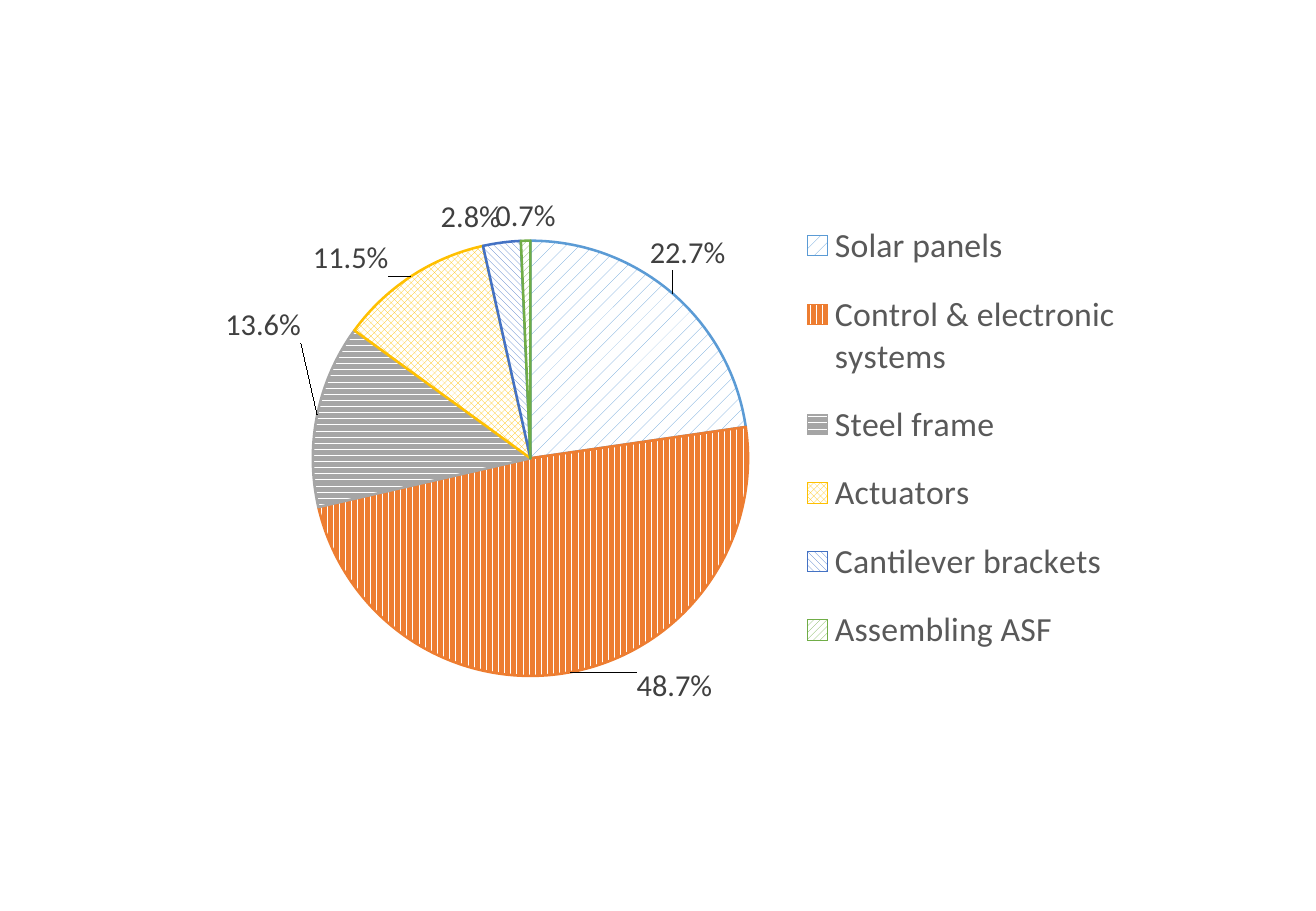
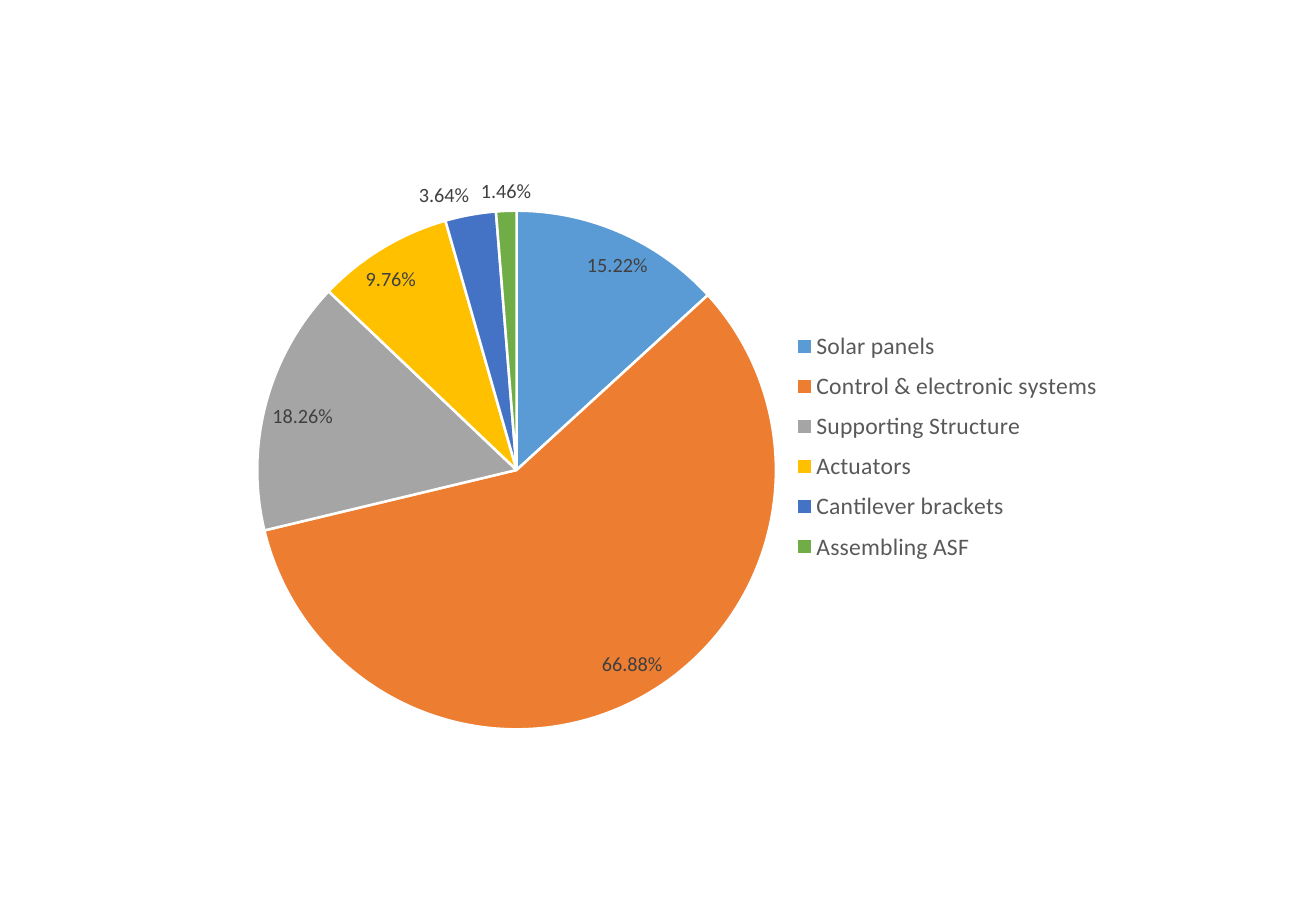
"""Two pie charts of cost shares by part."""
import lxml.etree
import pptx
import pptx.chart.data
import pptx.dml.color
import pptx.enum.chart
import pptx.enum.dml
import pptx.oxml.ns
import pptx.util

RGB = pptx.dml.color.RGBColor
PAT = pptx.enum.dml.MSO_PATTERN
POS = pptx.enum.chart.XL_LABEL_POSITION
BLUE = RGB(0x5B, 0x9B, 0xD5)
ORANGE = RGB(0xED, 0x7D, 0x31)
GREY = RGB(0xA5, 0xA5, 0xA5)
GOLD = RGB(0xFF, 0xC0, 0x00)
NAVY = RGB(0x44, 0x72, 0xC4)
GREEN = RGB(0x70, 0xAD, 0x47)
WHITE = RGB(0xFF, 0xFF, 0xFF)
BLACK = RGB(0x00, 0x00, 0x00)
DARK = RGB(0x40, 0x40, 0x40)
SOFT = RGB(0x59, 0x59, 0x59)
HUES = [BLUE, ORANGE, GREY, GOLD, NAVY, GREEN]
FACE = "Calibri"
SCALE = 9525
FRAME = (174, 129, 732, 462)

COSTS = {
    "third": "Steel frame",
    "vals": [0.227, 0.487, 0.136, 0.115, 0.028, 0.007],
    "code": "0.0%",
    "sizes": (18, 20),
    "place": POS.OUTSIDE_END,
    "plot": {"x": 0.1, "y": 0.13, "w": 0.47, "h": 0.75},
    "key": {"x": 0.62, "y": 0.06, "w": 0.36, "h": 0.82},
    "hatch": [PAT.PERCENT_10, PAT.DARK_VERTICAL, PAT.DARK_HORIZONTAL,
              PAT.LARGE_CHECKER_BOARD, PAT.WIDE_DOWNWARD_DIAGONAL,
              PAT.WIDE_UPWARD_DIAGONAL],
    "moves": [(-0.03, -0.03), (0.07, -0.02), (-0.01, -0.12), (-0.02, 0.01)],
}
SHARES = {
    "third": "Supporting Structure",
    "vals": [0.1522, 0.6688, 0.1826, 0.0976, 0.0364, 0.0146],
    "code": "0.00%",
    "sizes": (12, 14),
    "place": POS.BEST_FIT,
    "plot": {"x": 0.04, "y": 0.08, "w": 0.56, "h": 0.89},
    "key": {"x": 0.61, "y": 0.27, "w": 0.35, "h": 0.43},
    "hatch": [],
    "moves": [],
}


def px(num):
    """Turn px into EMU."""
    return pptx.util.Emu(num * SCALE)


def put(item, vals):
    """Set each named value on an item."""
    for name, val in vals.items():
        setattr(item, name, val)


def style(font, size, hue):
    """Set face, size and colour of a font."""
    put(font, {"name": FACE, "size": pptx.util.Pt(size)})
    font.color.rgb = hue


def lay(node, spots, prior=None):
    """Give a chart part a manual layout, after a prior child if named."""
    tag = pptx.oxml.ns.qn
    for old in node.findall(tag("c:layout")):
        node.remove(old)
    base = lxml.etree.Element(tag("c:layout"))
    man = lxml.etree.SubElement(base, tag("c:manualLayout"))
    for name, val in spots.items():
        lxml.etree.SubElement(man, tag("c:" + name), val=str(val))
    head = node.find(tag(prior)) if prior else None
    node.insert(0 if head is None else node.index(head) + 1, base)


def fixed(box, inner=False):
    """Return layout values for a box measured from the chart edge."""
    spots = {"layoutTarget": "inner"} if inner else {}
    return {**spots, "xMode": "edge", "yMode": "edge", **box}


def paint(point, hue, hatch):
    """Fill a slice, plain with a white rim or hatched with its own."""
    fill = point.format.fill
    if hatch is None:
        fill.solid()
        fill.fore_color.rgb = hue
    else:
        fill.patterned()
        fill.pattern = hatch
        fill.fore_color.rgb = hue
        fill.back_color.rgb = WHITE
    line = point.format.line
    line.width = pptx.util.Pt(1.5)
    line.color.rgb = WHITE if hatch is None else hue


def shift(point, move, size, place):
    """Move one label away from its usual place."""
    label = point.data_label
    style(label.font, size, DARK)
    label.position = place
    node = label.font._element
    while node.tag != pptx.oxml.ns.qn("c:dLbl"):
        node = node.getparent()
    lay(node, dict(zip("xy", move)), "c:idx")


def pie(deck, info):
    """Add a slide with one pie chart."""
    slide = deck.slides.add_slide(deck.slide_layouts[6])
    data = pptx.chart.data.CategoryChartData(number_format=info["code"])
    data.categories = ["Solar panels", "Control & electronic systems",
                       info["third"], "Actuators", "Cantilever brackets",
                       "Assembling ASF"]
    data.add_series("Series 1", info["vals"])
    kind = pptx.enum.chart.XL_CHART_TYPE.PIE
    chart = slide.shapes.add_chart(kind, *map(px, FRAME), data).chart
    put(chart, {"has_title": False, "has_legend": True})
    style(chart.font, 10, BLACK)
    small, large = info["sizes"]
    key = chart.legend
    put(key, {"position": pptx.enum.chart.XL_LEGEND_POSITION.RIGHT,
              "include_in_layout": False})
    style(key.font, large, SOFT)
    lay(key._element, fixed(info["key"]), "c:legendPos")
    lay(chart._chartSpace.chart.plotArea, fixed(info["plot"], True))
    plot = chart.plots[0]
    plot.vary_by_categories = True
    row = plot.series[0]
    put(row.data_labels, {"show_value": True, "number_format": info["code"],
                          "number_format_is_linked": False,
                          "position": info["place"]})
    style(row.data_labels.font, small, DARK)
    for num, hue in enumerate(HUES):
        hatch = info["hatch"][num] if info["hatch"] else None
        paint(row.points[num], hue, hatch)
    for num, move in enumerate(info["moves"]):
        shift(row.points[num], move, small, info["place"])


def main():
    """Build and save the deck."""
    deck = pptx.Presentation()
    put(deck, {"slide_width": px(1040), "slide_height": px(720)})
    for info in (COSTS, SHARES):
        pie(deck, info)
    deck.save("out.pptx")


if __name__ == "__main__":
    main()
